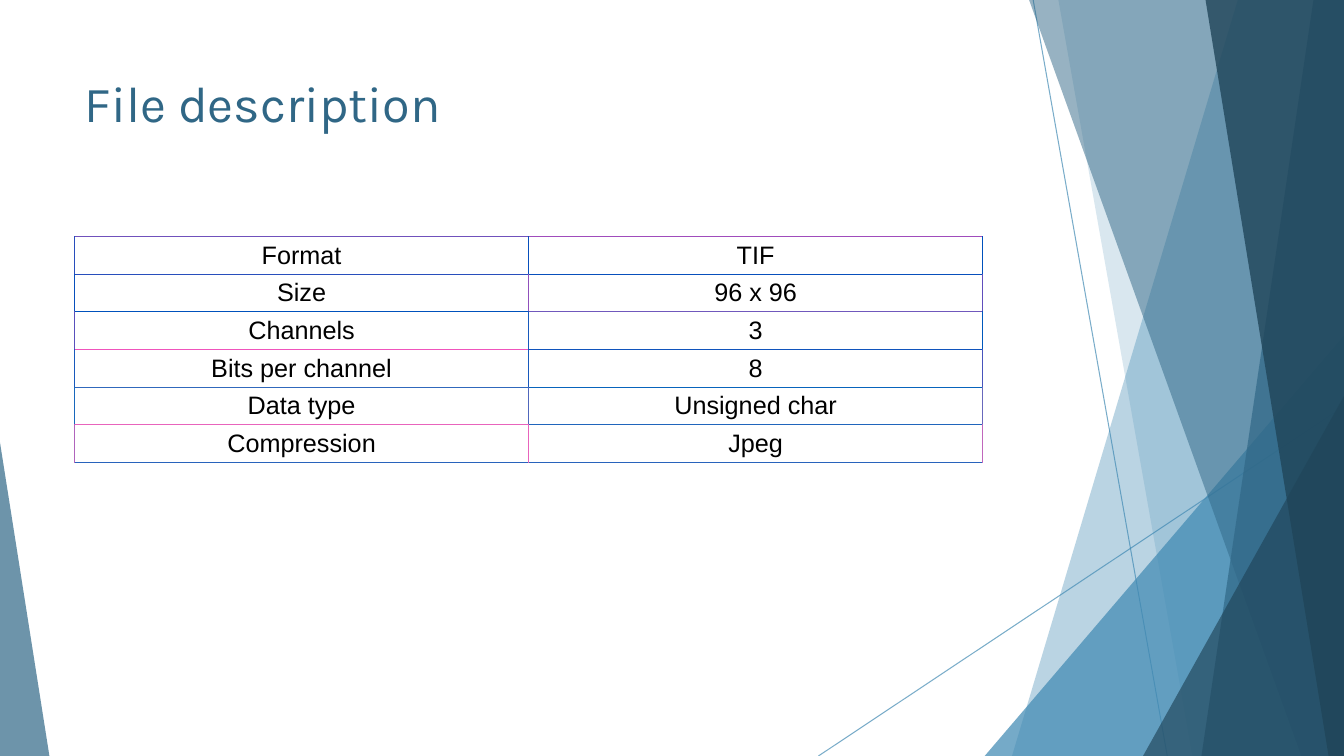
import pptx
import pptx.util
import pptx.dml.color
import pptx.enum.shapes
import pptx.enum.text
import pptx.oxml
import pptx.oxml.ns
from lxml import etree

Pt = pptx.util.Pt
Rgb = pptx.dml.color.RGBColor.from_string
Shape = pptx.enum.shapes.MSO_SHAPE
Align = pptx.enum.text.PP_ALIGN
Anchor = pptx.enum.text.MSO_ANCHOR
qn = pptx.oxml.ns.qn


class Theme:
    white, black = "FFFFFF", "000000"
    sky, steel, navy = "418AB3", "306786", "204559"
    head = {"name": "Karla", "size": Pt(36)}
    cell = {"name": "Arial", "size": Pt(18)}
    hair = Pt(0.75)


WIDE, HIGH = 960, 540

ROWS = [
    ("Format", "TIF"),
    ("Size", "96 x 96"),
    ("Channels", "3"),
    ("Bits per channel", "8"),
    ("Data type", "Unsigned char"),
    ("Compression", "Jpeg"),
]
# Rule colours: one row per horizontal rule, one row per table row of uprights
RULES = [
    ("7051BC", "A04CBC"), ("284EBC", "084FBC"), ("0051BC", "7058BC"),
    ("F054BC", "1054BC"), ("3068BC", "0864BC"), ("E864BC", "2065BC"),
    ("2863BC", "2863BC"),
]
POSTS = [
    ("284EBC", "084FBC", "0051BC"), ("084FBC", "9050BC", "604EBC"),
    ("5850BC", "1859BC", "0058BC"), ("1859BC", "1859BC", "4854BC"),
    ("1867BC", "5067BC", "6868BC"), ("B064BC", "E864BC", "C067BC"),
]


def style(item, form):
    for key, value in form.items():
        setattr(item, key, value)


def tint(fill, part, color, alpha):
    """Give a fill a solid colour with an opacity in percent."""
    fill.solid()
    fill.fore_color.rgb = Rgb(color)
    node = next(part.iter(qn("a:srgbClr")))
    etree.SubElement(node, qn("a:alpha"), val=str(alpha * 1000))


def paint(shape, color, alpha):
    shape.shadow.inherit = False
    shape.line.fill.background()
    tint(shape.fill, shape._element.spPr, color, alpha)


def draw_line(slide, start, end):
    line = slide.shapes.add_connector(
        pptx.enum.shapes.MSO_CONNECTOR.STRAIGHT,
        *[Pt(value) for value in (*start, *end)])
    line.line.width = Theme.hair
    part = line._element.spPr
    tint(line.line.fill, part, Theme.sky, 70)
    etree.SubElement(part, qn("a:effectLst"))


def draw_band(slide, box, top, base, color, alpha):
    """Fill from a slanted left edge to the right side of the box."""
    left, head, wide, high = box
    right, foot = left + wide, head + high
    points = [(left + top, head), (right, head), (right, foot), (left + base, foot)]
    points = [(Pt(x), Pt(y)) for x, y in points]
    pen = slide.shapes.build_freeform(*points[0], scale=1)
    pen.add_line_segments(points[1:], close=True)
    paint(pen.convert_to_shape(), color, alpha)


def draw_wedge(slide, box, side, wide, high, color, alpha):
    """Stand a right triangle in the left (0) or right (1) bottom corner."""
    left = box[0] + side * (box[2] - wide)
    top = box[1] + box[3] - high
    wedge = slide.shapes.add_shape(
        Shape.ISOSCELES_TRIANGLE, Pt(left), Pt(top), Pt(wide), Pt(high))
    wedge.adjustments[0] = side
    paint(wedge, color, alpha)


def add_decor(slide, box):
    left, top, wide, high = box
    right, foot = left + wide, top + high
    # Thin crossing lines
    draw_line(slide, (left + 738, top), (left + 833.8, foot))
    draw_line(slide, (right, top + 290.2), (left + 584.6, foot))
    # Slanted bands and corner wedges, back to front
    for draw, *spec in [
        (draw_band, 884.2, 722.9, Theme.sky, 36),
        (draw_band, 756, 851.8, Theme.sky, 20),
        (draw_wedge, 1, 256.6, 300.2, Theme.sky, 72),
        (draw_band, 735.1, 929.5, Theme.steel, 50),
        (draw_band, 938.2, 858.2, Theme.steel, 70),
        (draw_band, 861.1, 949, Theme.navy, 80),
        (draw_wedge, 1, 143.5, 257, Theme.navy, 66),
        (draw_wedge, 0, 35.3, 223.9, Theme.steel, 70),
    ]:
        draw(slide, box, *spec)


def add_title(slide, box, text):
    title = slide.shapes.title
    left, top, wide, high = map(Pt, box)
    style(title, {"left": left, "top": top, "width": wide, "height": high})
    frame = title.text_frame
    frame.text = text
    style(frame, {
        "word_wrap": True, "vertical_anchor": Anchor.TOP,
        "auto_size": pptx.enum.text.MSO_AUTO_SIZE.NONE,
        "margin_left": Pt(7.2), "margin_right": Pt(7.2),
        "margin_top": Pt(3.6), "margin_bottom": Pt(3.6)})
    para = frame.paragraphs[0]
    para.alignment = Align.LEFT
    font = para.runs[0].font
    style(font, Theme.head)
    font.color.rgb = Rgb(Theme.steel)


def edge_cell(cell, colors):
    """Rule the left, right, top and bottom edges of a cell."""
    props = cell._tc.get_or_add_tcPr()
    for spot, (tag, color) in enumerate(zip("LRTB", colors)):
        edge = etree.Element(qn("a:ln" + tag), w=str(int(Theme.hair)))
        solid = etree.SubElement(edge, qn("a:solidFill"))
        etree.SubElement(solid, qn("a:srgbClr"), val=color)
        props.insert(spot, edge)


def add_table(slide, box):
    table = slide.shapes.add_table(len(ROWS), 2, *map(Pt, box)).table
    style(table, {"first_row": False, "horz_banding": False})
    for col in table.columns:
        col.width = Pt(box[2] / 2)
    for r, texts in enumerate(ROWS):
        table.rows[r].height = Pt(box[3] / len(ROWS))
        for c, text in enumerate(texts):
            cell = table.cell(r, c)
            cell.text = text
            style(cell, {
                "vertical_anchor": Anchor.MIDDLE,
                "margin_left": Pt(5.4), "margin_right": Pt(5.4),
                "margin_top": Pt(2.7), "margin_bottom": Pt(2.7)})
            cell.fill.solid()
            cell.fill.fore_color.rgb = Rgb(Theme.white)
            para = cell.text_frame.paragraphs[0]
            para.alignment = Align.CENTER
            font = para.runs[0].font
            style(font, Theme.cell)
            font.color.rgb = Rgb(Theme.black)
            edge_cell(cell, (*POSTS[r][c:c + 2], RULES[r][c], RULES[r + 1][c]))


def main():
    deck = pptx.Presentation()
    style(deck, {"slide_width": Pt(WIDE), "slide_height": Pt(HIGH)})
    slide = deck.slides.add_slide(deck.slide_layouts[5])
    add_decor(slide, (0, 0, WIDE, HIGH))
    add_title(slide, (53.3, 48.2, 676.8, 103.7), "File description")
    add_table(slide, (53.3, 169, 648.6, 161.4))
    deck.save("out.pptx")


if __name__ == "__main__":
    main()
